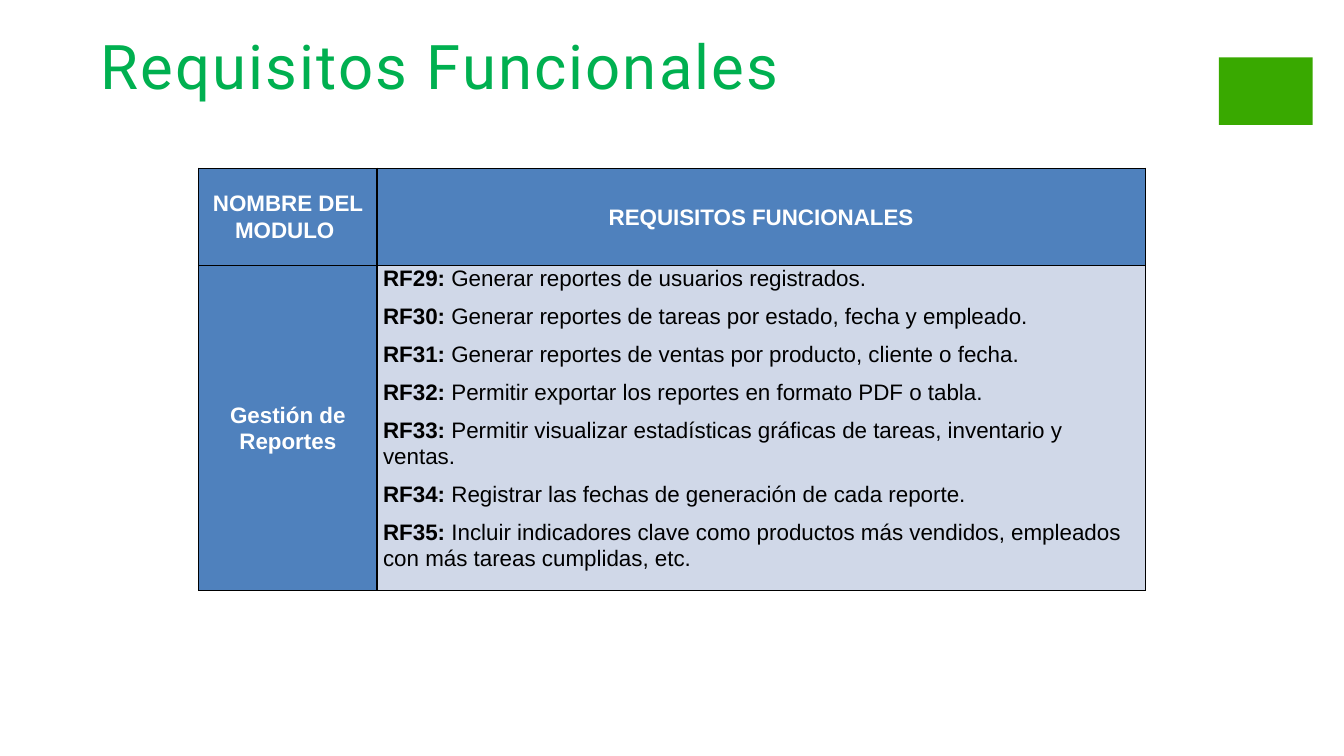
from pptx import Presentation
from pptx import util as u
from pptx.dml.color import RGBColor
from pptx.enum import shapes, text
from pptx.oxml import parse_xml
from pptx.oxml.ns import nsdecls

COLORS = {
    "title": "00B050",
    "emblem": "39A900",
    "header": "4F81BD",
    "body": "D0D8E8",
    "border": "000000",
    "light": "FFFFFF",
    "dark": "000000",
}

MODULE = "Gestión de Reportes"
HEADINGS = ["NOMBRE DEL MODULO ", "REQUISITOS FUNCIONALES"]
FIRST_NUMBER = 29
REQUIREMENTS = [
    "Generar reportes de usuarios registrados.",
    "Generar reportes de tareas por estado, fecha y empleado.",
    "Generar reportes de ventas por producto, cliente o fecha.",
    "Permitir exportar los reportes en formato PDF o tabla.",
    "Permitir visualizar estadísticas gráficas de tareas, inventario y ventas.",
    "Registrar las fechas de generación de cada reporte.",
    "Incluir indicadores clave como productos más vendidos, empleados con más tareas cumplidas, etc.",
]


def color(name):
    return RGBColor.from_string(COLORS[name])


def add_title(slide, left, top, width, height):
    title = slide.shapes.add_textbox(*map(u.Inches, (left, top, width, height)))
    frame = title.text_frame
    frame.word_wrap = True
    frame.margin_left = frame.margin_right = frame.margin_top = frame.margin_bottom = 0
    heading = frame.paragraphs[0]
    heading.font.name = "Roboto"
    heading.font.size = u.Pt(44)
    heading.font.color.rgb = color("title")
    words = heading.add_run()
    words.text = "Requisitos Funcionales"
    words.font._element.set("spc", "150")


def add_emblem(slide, left, top, width, height):
    emblem = slide.shapes.add_shape(
        shapes.MSO_SHAPE.RECTANGLE, *map(u.Inches, (left, top, width, height))
    )
    emblem.shadow.inherit = False
    emblem.fill.solid()
    emblem.fill.fore_color.rgb = color("emblem")
    emblem.line.fill.background()


def style_cell(cell, fill):
    cell.margin_left = cell.margin_right = u.Inches(0.06)
    cell.margin_top = cell.margin_bottom = 0
    properties = cell._tc.get_or_add_tcPr()
    for side in ("lnL", "lnR", "lnT", "lnB"):
        properties.append(parse_xml(
            f'<a:{side} {nsdecls("a")} w="{u.Pt(1)}"><a:solidFill>'
            f'<a:srgbClr val="{COLORS["border"]}"/></a:solidFill></a:{side}>'
        ))
    cell.fill.solid()
    cell.fill.fore_color.rgb = color(fill)


def style_paragraph(paragraph, font_color):
    paragraph.line_spacing = 1.07
    paragraph.space_after = u.Pt(8)
    paragraph.font.name = "Arial"
    paragraph.font.size = u.Pt(16)
    paragraph.font.color.rgb = color(font_color)


def fill_label(cell, label):
    style_cell(cell, "header")
    cell.vertical_anchor = text.MSO_ANCHOR.MIDDLE
    paragraph = cell.text_frame.paragraphs[0]
    style_paragraph(paragraph, "light")
    paragraph.alignment = text.PP_ALIGN.CENTER
    paragraph.font.bold = True
    paragraph.add_run().text = label


def fill_requirements(cell):
    style_cell(cell, "body")
    frame = cell.text_frame
    for index, requirement in enumerate(REQUIREMENTS):
        paragraph = frame.add_paragraph() if index else frame.paragraphs[0]
        style_paragraph(paragraph, "dark")
        paragraph.alignment = text.PP_ALIGN.LEFT
        for words, bold in ((f"RF{FIRST_NUMBER + index}: ", True), (requirement, False)):
            run = paragraph.add_run()
            run.text = words
            run.font.bold = bold


def add_requirements_table(slide, left, top, width, height):
    module_width, header_height = 1.77, 0.96
    table = slide.shapes.add_table(
        2, 2, *map(u.Inches, (left, top, width, height))
    ).table
    table.columns[0].width = u.Inches(module_width)
    table.columns[1].width = u.Inches(width - module_width)
    table.rows[0].height = u.Inches(header_height)
    table.rows[1].height = u.Inches(height - header_height)
    for column, heading in enumerate(HEADINGS):
        fill_label(table.cell(0, column), heading)
    fill_label(table.cell(1, 0), MODULE)
    fill_requirements(table.cell(1, 1))


def main():
    deck = Presentation()
    deck.slide_width, deck.slide_height = u.Inches(13.33), u.Inches(7.5)
    slide = deck.slides.add_slide(deck.slide_layouts[6])
    add_emblem(slide, 12.09, 0.57, 0.93, 0.67)
    add_title(slide, 1, 0.28, 10.96, 0.74)
    add_requirements_table(slide, 1.97, 1.67, 9.39, 4)
    deck.save("out.pptx")


if __name__ == "__main__":
    main()
